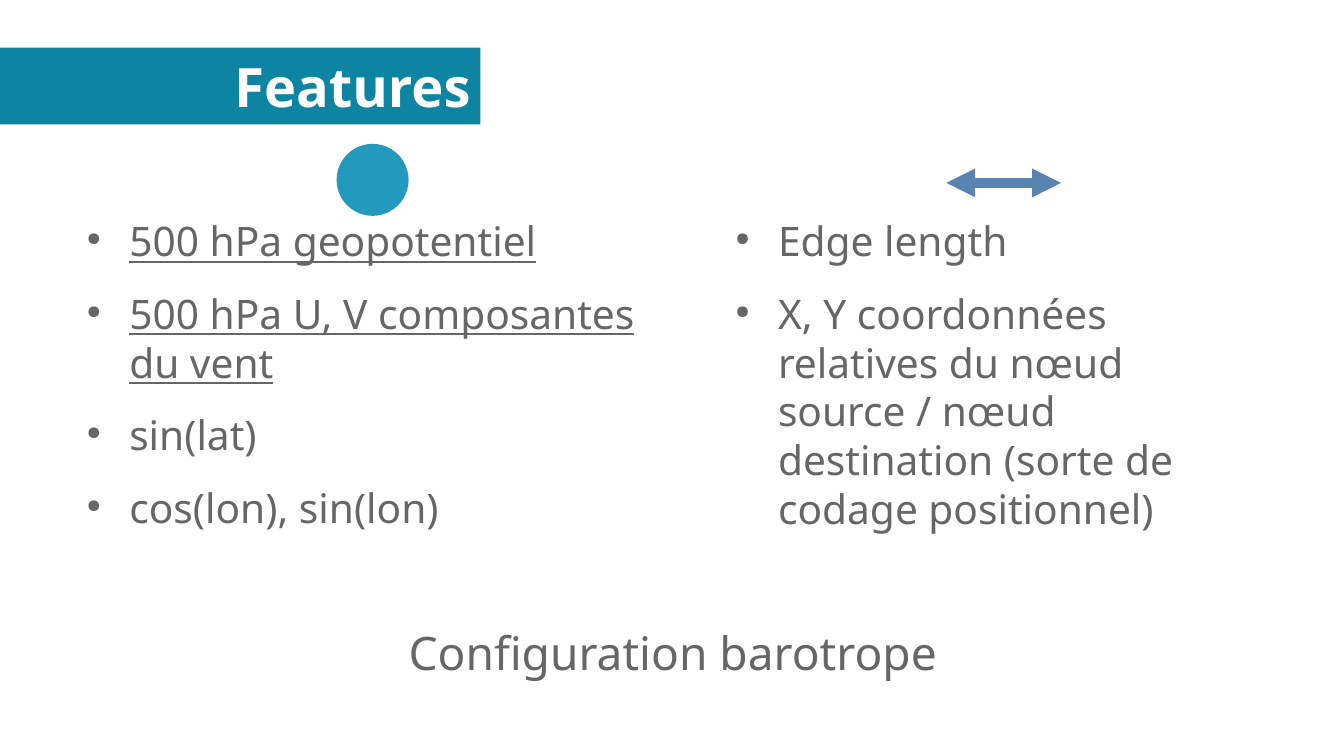
from lxml import etree
from pptx import Presentation
from pptx.dml.color import RGBColor
from pptx.enum import shapes, text
from pptx.oxml.ns import qn
from pptx.util import Inches, Pt

TITLE = "Features"
NODE_FEATURES = [
    ("500 hPa geopotentiel", True),
    ("500 hPa U, V composantes du vent", True),
    ("sin(lat)", False),
    ("cos(lon), sin(lon)", False),
]
EDGE_FEATURES = [
    ("Edge length", False),
    ("X, Y coordonnées relatives du nœud source / nœud destination "
     "(sorte de codage positionnel)", False),
]
FOOTER = "Configuration barotrope"

FONT = "Noto Sans"
WHITE = RGBColor(0xFF, 0xFF, 0xFF)
GREY = RGBColor(0x66, 0x66, 0x66)
TEAL = RGBColor(0x0D, 0x84, 0xA1)
NODE_BLUE = RGBColor(0x24, 0x99, 0xBE)
EDGE_BLUE = RGBColor(0x59, 0x83, 0xB0)

prs = Presentation()
prs.slide_width, prs.slide_height = Inches(11.02), Inches(6.2)
s = prs.slides.add_slide(prs.slide_layouts[6])


def add_bullet(p):
    pPr = p._p.get_or_add_pPr()
    pPr.set("marL", str(Inches(0.47)))
    pPr.set("indent", str(Inches(-0.35)))
    color = etree.SubElement(pPr, qn("a:buClr"))
    etree.SubElement(color, qn("a:srgbClr"), val=str(GREY))
    etree.SubElement(pPr, qn("a:buSzPct"), val="45000")
    etree.SubElement(pPr, qn("a:buChar"), char="●")


def add_text(items, box, size=24, color=GREY, bold=False, bullets=False,
             align=text.PP_ALIGN.LEFT, anchor=text.MSO_ANCHOR.TOP):
    tf = s.shapes.add_textbox(*map(Inches, box)).text_frame
    tf.word_wrap = True
    tf.vertical_anchor = anchor
    tf.margin_left = tf.margin_right = tf.margin_top = tf.margin_bottom = 0
    for i, (words, underline) in enumerate(items):
        p = tf.paragraphs[0] if i == 0 else tf.add_paragraph()
        if bullets:
            add_bullet(p)
        p.alignment = align
        if i:
            p.space_before = Pt(14.2)
        r = p.add_run()
        r.text = words
        r.font.name, r.font.size, r.font.bold = FONT, Pt(size), bold
        r.font.color.rgb = color
        if underline:
            r.font.underline = True


def add_solid(kind, box, color):
    sp = s.shapes.add_shape(kind, *map(Inches, box))
    sp.shadow.inherit = False
    sp.fill.solid()
    sp.fill.fore_color.rgb = color
    sp.line.fill.background()


def add_double_arrow(x1, x2, y):
    arrow = s.shapes.add_connector(shapes.MSO_CONNECTOR.STRAIGHT,
                                   Inches(x1), Inches(y), Inches(x2), Inches(y))
    arrow.line.color.rgb = EDGE_BLUE
    arrow.line.width = Pt(5.67)
    ln = arrow.line._get_or_add_ln()
    for end in ("a:headEnd", "a:tailEnd"):
        etree.SubElement(ln, qn(end), type="triangle")
    etree.SubElement(arrow._element.spPr, qn("a:effectLst"))


add_solid(shapes.MSO_SHAPE.RECTANGLE, (0, 0.39, 3.94, 0.63), TEAL)
add_text([(TITLE, False)], (0, 0.31, 3.86, 0.79), size=32, color=WHITE, bold=True,
         align=text.PP_ALIGN.RIGHT, anchor=text.MSO_ANCHOR.MIDDLE)
add_solid(shapes.MSO_SHAPE.OVAL, (2.76, 1.18, 0.59, 0.59), NODE_BLUE)
add_text(NODE_FEATURES, (0.59, 1.77, 4.72, 3.94), bullets=True)
add_double_arrow(7.76, 8.7, 1.5)
add_text(EDGE_FEATURES, (5.91, 1.77, 4.13, 3.94), bullets=True)
add_text([(FOOTER, False)], (3.35, 5.12, 4.72, 0.79), size=27.2)

prs.save("out.pptx")
